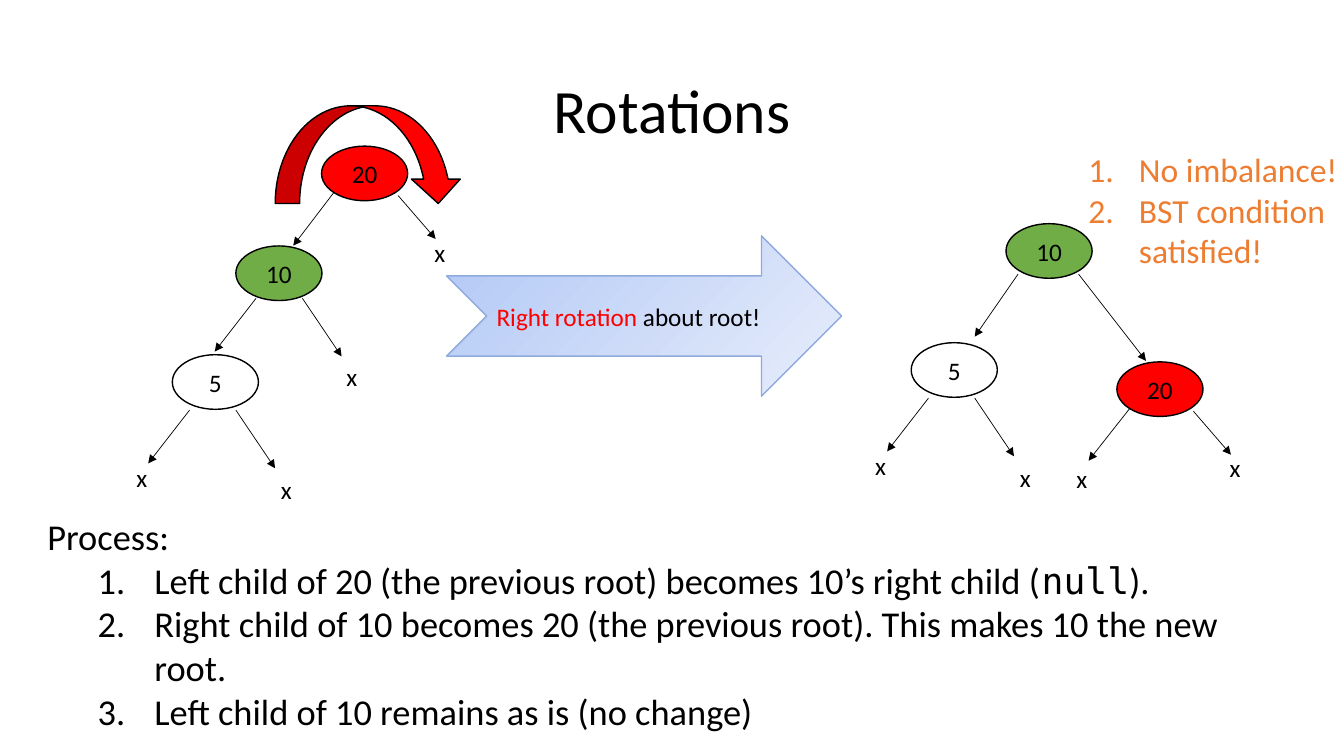
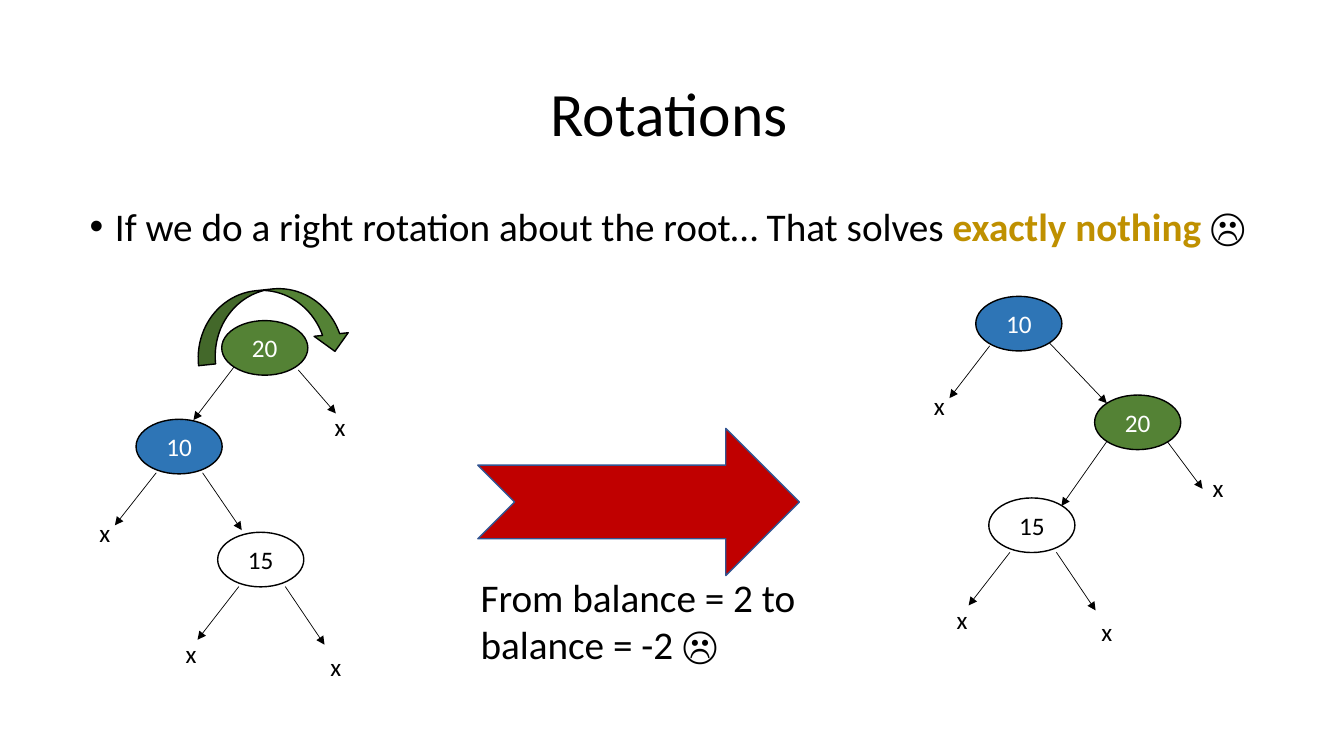
from dataclasses import dataclass
from typing import Any, NamedTuple, Optional

from lxml import etree
from pptx import Presentation
from pptx import util as u
from pptx.dml.color import RGBColor
from pptx.enum import shapes, text
from pptx.oxml import ns

COLORS = {
    "black": "000000", "white": "FFFFFF", "red": "FF0000", "green": "70AD47",
    "moss": "548235", "blue": "2E75B6", "orange": "ED7D31", "gold": "BF9000",
    "crimson": "C00000", "navy": "325491", "pale edge": "8FAADC",
    "pale start": "B2C8F5", "pale end": "E7EDFB",
}
BODY_FONT = "Calibri"
CODE_FONT = "DejaVu Sans Mono"
NODE_SIZE = (61.5, 39)
MARK_SIZE = (22.3, 29)
SHAPE = shapes.MSO_SHAPE


class Box(NamedTuple):
    left: float
    top: float
    width: float
    height: float


class Span(NamedTuple):
    words: str
    color: str = "black"
    bold: bool = False
    font: str = BODY_FONT


@dataclass(frozen=True)
class Bullet:
    tag: str
    attribute: str
    value: str
    margin: float
    hanging: float


@dataclass(frozen=True)
class Line:
    spans: tuple[Span, ...]
    bullet: Optional[Bullet] = None
    level: int = 0


class Arm(NamedTuple):
    dx: float
    dy: float
    run: float
    drop: float
    mark: Optional[tuple[float, float]] = None


@dataclass(frozen=True)
class Node:
    value: str
    x: float
    y: float
    arms: tuple[Arm, ...]
    fill: Optional[str] = None
    ink: str = "black"


LEFT_MARK = (-15.6, -4.3)
RIGHT_MARK = (-2.9, 1)
SIDE_MARK = (-18.3, -9.3)
LEAF_ARMS = (Arm(12.3, 39.6, -29.5, 38, LEFT_MARK), Arm(45.4, 39.6, 28, 41.5, RIGHT_MARK))
LOW_LEAF_ARMS = (Arm(15.1, 38.8, -29.5, 38, LEFT_MARK), Arm(48.3, 38.8, 28, 41.5, RIGHT_MARK))
ROOT_ARMS = (Arm(8.8, 33.1, -29, 38), Arm(54.7, 35.3, 26.8, 31, (-8, -5)))

BALANCED_BEFORE = (
    Node("20", 229.7, 104.4, ROOT_ARMS, "red"),
    Node("10", 168.5, 175.7,
         (Arm(14.4, 37.4, -29.5, 38), Arm(47.5, 37.4, 28, 41.5, (-3.6, 0))), "green"),
    Node("5", 123.1, 253.4, LEAF_ARMS),
)
BALANCED_AFTER = (
    Node("20", 797.8, 258.5,
         (Arm(9.3, 33.1, -29.5, 37.5, (-15.8, -2)), ROOT_ARMS[1]), "red"),
    Node("5", 650.9, 244.8, LEAF_ARMS),
    Node("10", 718.6, 159.8, (Arm(8.6, 36, -31, 44.7), Arm(51.8, 36, 48.2, 62)), "green"),
)
SKEWED_BEFORE = (
    Node("20", 158.4, 229, ROOT_ARMS, "moss", "white"),
    Node("10", 97.2, 299.5,
         (Arm(14.4, 38.2, -29.5, 37.5, SIDE_MARK), Arm(47.5, 38.2, 28, 41)), "blue", "white"),
    Node("15", 155.5, 380.2, LOW_LEAF_ARMS),
)
SKEWED_AFTER = (
    Node("20", 781.9, 282.2,
         (Arm(8.7, 33.2, -32.4, 46), Arm(51.9, 33.2, 25.2, 33.8, (0, -15.1))), "moss", "white"),
    Node("10", 697, 211.7,
         (Arm(10, 35.3, -28.8, 37.4, SIDE_MARK), Arm(52.5, 33.1, 41.1, 43.2)), "blue", "white"),
    Node("15", 706.3, 355.7, LOW_LEAF_ARMS),
)

CONDITION = Bullet("a:buAutoNum", "type", "arabicPeriod", 36, 36)
STEP = Bullet("a:buAutoNum", "type", "arabicPeriod", 76.5, 40.5)
DOT = Bullet("a:buChar", "char", "•", 18, 18)

CONDITIONS = tuple(
    Line((Span(words, "orange"),), CONDITION)
    for words in ("No imbalance!", "BST condition satisfied!")
)
PROCESS = (
    Line((Span("Process:"),)),
    Line((Span("Left child of 20 (the previous root) becomes 10’s right child ("),
          Span("null", font=CODE_FONT), Span(").")), STEP, 1),
    Line((Span("Right child of 10 becomes 20 (the previous root). "
               "This makes 10 the new root."),), STEP, 1),
    Line((Span("Left child of 10 remains as is (no change)"),), STEP, 1),
)
VERDICT = (
    Line((Span("If we do a right rotation about the root… That solves "),
          Span("exactly nothing ", "gold", True), Span("☹")), DOT),
)


def rgb(name: str) -> RGBColor:
    return RGBColor.from_string(COLORS[name])


def place(holder: Any, box: Box) -> None:
    holder.left, holder.top, holder.width, holder.height = map(u.Pt, box)


def set_bullet(para: Any, bullet: Optional[Bullet]) -> None:
    properties = para._p.get_or_add_pPr()
    margin, hanging = (bullet.margin, bullet.hanging) if bullet else (0, 0)
    properties.set("marL", str(u.Pt(margin)))
    properties.set("indent", str(-u.Pt(hanging)))
    mark = etree.SubElement(properties, ns.qn(bullet.tag if bullet else "a:buNone"))
    if bullet:
        mark.set(bullet.attribute, bullet.value)


def write(holder: Any, lines: tuple[Line, ...], size: float, align: Any = None,
          anchor: Any = text.MSO_ANCHOR.TOP, spacing: float = 1.0) -> None:
    frame = holder.text_frame
    frame.word_wrap = True
    frame.auto_size = text.MSO_AUTO_SIZE.NONE
    frame.vertical_anchor = anchor
    for index, line in enumerate(lines):
        para = frame.add_paragraph() if index else frame.paragraphs[0]
        para.level = line.level
        set_bullet(para, line.bullet)
        para.alignment = align or text.PP_ALIGN.LEFT
        para.line_spacing = spacing
        para.space_before = u.Pt(0)
        for span in line.spans:
            piece = para.add_run()
            piece.text = span.words
            piece.font.name = span.font
            piece.font.size = u.Pt(size)
            piece.font.bold = span.bold
            piece.font.color.rgb = rgb(span.color)


def add_box(page: Any, box: Box, lines: tuple[Line, ...], size: float) -> Any:
    holder = page.shapes.add_textbox(*map(u.Pt, box))
    write(holder, lines, size)
    return holder


def add_figure(page: Any, kind: Any, box: Box, fill: Optional[str], edge: str = "black") -> Any:
    figure = page.shapes.add_shape(kind, *map(u.Pt, box))
    figure.shadow.inherit = False
    if fill:
        figure.fill.solid()
        figure.fill.fore_color.rgb = rgb(fill)
    else:
        figure.fill.background()
    figure.line.color.rgb = rgb(edge)
    figure.line.width = u.Pt(1)
    return figure


def add_arm(page: Any, node: Node, arm: Arm) -> None:
    x, y = node.x + arm.dx, node.y + arm.dy
    tip_x, tip_y = x + arm.run, y + arm.drop
    arrow = page.shapes.add_connector(
        shapes.MSO_CONNECTOR.STRAIGHT, *map(u.Pt, (x, y, tip_x, tip_y)))
    arrow.line.color.rgb = rgb("black")
    arrow.line.width = u.Pt(0.5)
    properties = arrow.element.spPr
    etree.SubElement(properties.find(ns.qn("a:ln")), ns.qn("a:tailEnd"), type="triangle")
    etree.SubElement(properties, ns.qn("a:effectLst"))
    if arm.mark:
        box = Box(tip_x + arm.mark[0], tip_y + arm.mark[1], *MARK_SIZE)
        add_box(page, box, (Line((Span("x"),)),), 18)


def add_tree(page: Any, nodes: tuple[Node, ...]) -> None:
    for node in nodes:
        oval = add_figure(page, SHAPE.OVAL, Box(node.x, node.y, *NODE_SIZE), node.fill)
        write(oval, (Line((Span(node.value, node.ink),)),), 18,
              text.PP_ALIGN.CENTER, text.MSO_ANCHOR.MIDDLE)
        for arm in node.arms:
            add_arm(page, node, arm)


def add_page(deck: Any, title_left: float, title_top: float, body: Box,
             lines: tuple[Line, ...], size: float, spacing: float) -> Any:
    page = deck.slides.add_slide(deck.slide_layouts[1])
    title, content = page.placeholders
    place(title, Box(title_left, title_top, 828, 104.4))
    write(title, (Line((Span("Rotations"),)),), 44,
          text.PP_ALIGN.CENTER, text.MSO_ANCHOR.MIDDLE, 0.9)
    place(content, body)
    write(content, lines, size, spacing=spacing)
    return page


def build_balanced(deck: Any) -> None:
    page = add_page(deck, 66.2, 28.8, Box(26.6, 363.6, 875.5, 172), PROCESS, 26, 1.0)
    arrow = add_figure(page, SHAPE.NOTCHED_RIGHT_ARROW,
                       Box(319, 168.5, 282.2, 114.5), None, "pale edge")
    arrow.fill.gradient()
    arrow.fill.gradient_angle = 315
    for stop, color in zip(arrow.fill.gradient_stops, ("pale start", "pale end")):
        stop.color.rgb = rgb(color)
    caption = Line((Span("Right rotation ", "red"), Span("about root!")))
    write(arrow, (caption,), 18, anchor=text.MSO_ANCHOR.MIDDLE)
    add_tree(page, BALANCED_BEFORE)
    add_figure(page, SHAPE.CURVED_DOWN_ARROW, Box(196.6, 75.6, 133.9, 69.8), "red")
    add_tree(page, BALANCED_AFTER)
    notes = add_box(page, Box(770.4, 103, 189.6, 94.3), CONDITIONS, 24)
    notes.text_frame.margin_right = u.Pt(0)


def build_skewed(deck: Any) -> None:
    page = add_page(deck, 64.1, 31, Box(56.9, 144.7, 840.2, 342.7), VERDICT, 28, 0.9)
    add_tree(page, SKEWED_BEFORE)
    turn = add_figure(page, SHAPE.CURVED_DOWN_ARROW, Box(139, 206.6, 110.2, 49), "moss")
    turn.rotation = 354
    add_figure(page, SHAPE.NOTCHED_RIGHT_ARROW,
               Box(341.3, 306, 229.7, 105.1), "crimson", "navy")
    caption = Line((Span("From balance = 2 to balance = -2 ☹"),))
    add_box(page, Box(336.2, 406.1, 288.7, 74.9), (caption,), 28)
    add_tree(page, SKEWED_AFTER)


def main() -> None:
    deck = Presentation()
    deck.slide_width, deck.slide_height = u.Pt(960), u.Pt(540)
    build_balanced(deck)
    build_skewed(deck)
    deck.save("out.pptx")


if __name__ == "__main__":
    main()
